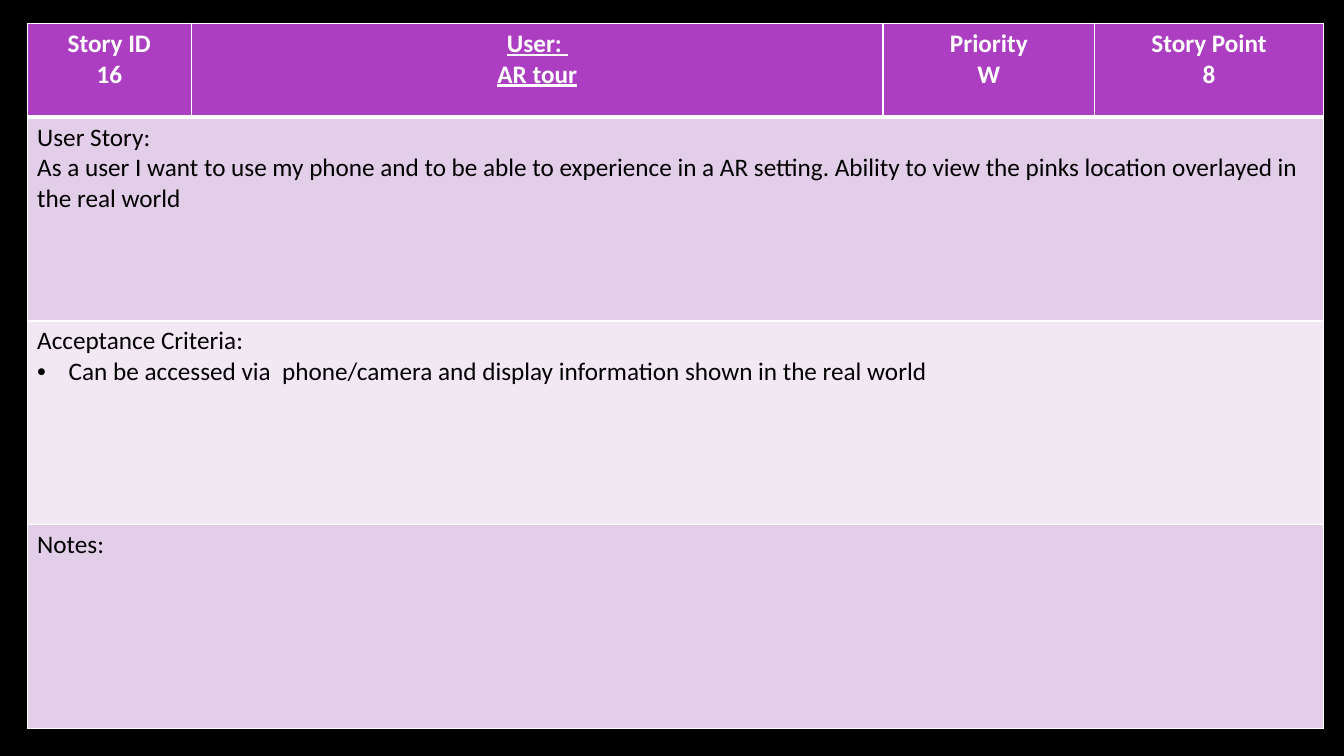
import pptx
import pptx.util
import pptx.dml.color
import pptx.enum.text
import pptx.oxml
import pptx.oxml.ns

Pt = pptx.util.Pt
HUES = {"back": "000000", "head": "AC3EC1", "dark": "E3CEE9",
        "light": "F1E8F4", "white": "FFFFFF", "text": "000000"}
COLS = [117.4, 494, 151.2, 163.4]
HEAD = ["Story ID\n16", "User: \nAR tour", "Priority\nW", "Story Point\n8"]
BODY = [
    ("User Story:\nAs a user I want to use my phone and to be able to experience "
     "in a AR setting. Ability to view the pinks location overlayed in the real world", "dark"),
    ("Acceptance Criteria:\nCan be accessed via  phone/camera and display "
     "information shown in the real world", "light"),
    ("Notes:", "dark"),
]


def color(name):
    """Return the named colour."""
    return pptx.dml.color.RGBColor.from_string(HUES[name])


def edge(cell, base):
    """Draw white borders on a cell, with the given bottom width."""
    props = cell._tc.get_or_add_tcPr()
    for side, width in (("L", 1), ("R", 1), ("T", 1), ("B", base)):
        props.append(pptx.oxml.parse_xml(
            f'<a:ln{side} {pptx.oxml.ns.nsdecls("a")} w="{Pt(width)}"><a:solidFill>'
            f'<a:srgbClr val="{HUES["white"]}"/></a:solidFill></a:ln{side}>'))


def bullet(para):
    """Give a paragraph a hanging bullet."""
    props = para._p.get_or_add_pPr()
    props.set("marL", str(Pt(22.5)))
    props.set("indent", str(-Pt(22.5)))
    for tag in ('buFont typeface="Arial"', 'buChar char="•"'):
        props.append(pptx.oxml.parse_xml(f'<a:{tag} {pptx.oxml.ns.nsdecls("a")}/>'))


def write(cell, text, fill, ink, head=False):
    """Fill a cell and set its text."""
    edge(cell, 3 if head else 1)
    cell.fill.solid()
    cell.fill.fore_color.rgb = color(fill)
    cell.text_frame.text = text
    for para in cell.text_frame.paragraphs:
        if head:
            para.alignment = pptx.enum.text.PP_ALIGN.CENTER
        for run in para.runs:
            run.font.name = "Calibri"
            run.font.size = Pt(18)
            run.font.bold = head
            run.font.color.rgb = color(ink)


def card(slide, left, top, width, height):
    """Place the story card table in the given box."""
    table = slide.shapes.add_table(
        len(BODY) + 1, len(COLS), Pt(left), Pt(top), Pt(width), Pt(height)).table
    first = 67
    table.rows[0].height = Pt(first)
    for col, size in enumerate(COLS):
        table.columns[col].width = Pt(width * size / sum(COLS))
        write(table.cell(0, col), HEAD[col], "head", "white", True)
    for para in table.cell(0, 1).text_frame.paragraphs:
        for run in para.runs:
            run.font.underline = True
    for row, (text, fill) in enumerate(BODY, 1):
        table.rows[row].height = Pt((height - first) / len(BODY))
        for col in range(len(COLS)):
            write(table.cell(row, col), "" if col else text, fill, "text")
        table.cell(row, 0).merge(table.cell(row, len(COLS) - 1))
    bullet(table.cell(2, 0).text_frame.paragraphs[1])


def main():
    """Build and save the slide."""
    deck = pptx.Presentation()
    deck.slide_width, deck.slide_height = Pt(960), Pt(540)
    slide = deck.slides.add_slide(deck.slide_layouts[6])
    slide.background.fill.solid()
    slide.background.fill.fore_color.rgb = color("back")
    card(slide, 19.4, 16.6, 926, 504)
    deck.save("out.pptx")


if __name__ == "__main__":
    main()
